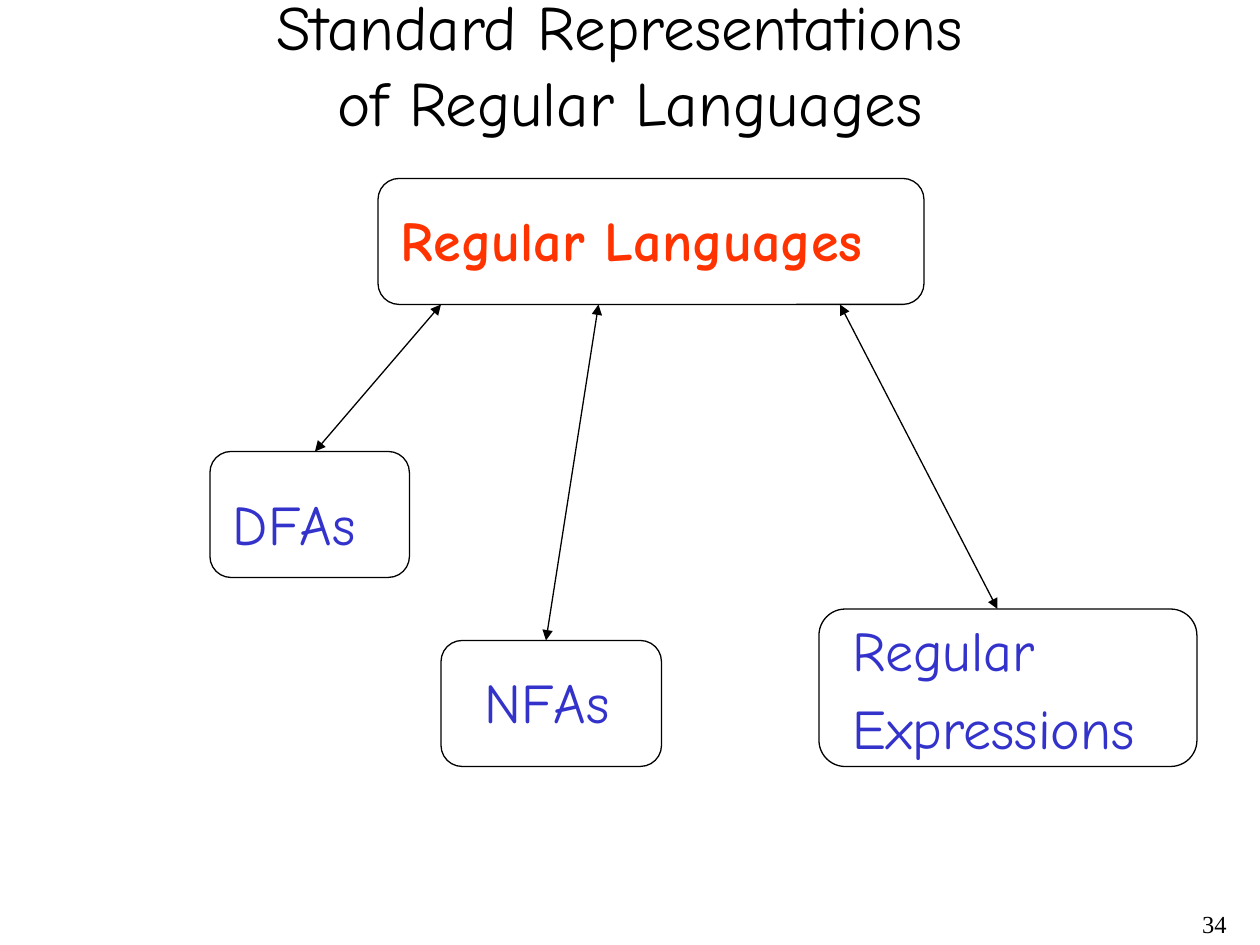
from dataclasses import dataclass

import pptx
import pptx.dml.color
import pptx.enum.shapes
import pptx.enum.text
import pptx.oxml
import pptx.oxml.ns
import pptx.util
from pptx.util import Cm

ALIGN = pptx.enum.text.PP_ALIGN
ANCHOR = pptx.enum.text.MSO_ANCHOR
BLACK, RED, BLUE = "000000", "FF3300", "3333CC"
LINE_WIDTH = pptx.util.Pt(0.75)


@dataclass
class Concept:
    """A rounded box and its label, in grid units."""
    text: str
    box: tuple[float, float, float, float]
    label: tuple[float, float, float, float]
    color: str = BLUE
    bold: bool = False


@dataclass
class Link:
    """Distance of the upper end and the lower end from the left, in grid units."""
    upper_x: float
    lower_x: float
    target: Concept


def grid(units: float) -> pptx.util.Length:
    """The layout grid has twelve units to 2.54 cm."""
    return Cm(units * 2.54 / 12)


def rgb(color: str) -> pptx.dml.color.RGBColor:
    return pptx.dml.color.RGBColor.from_string(color)


def add_text(slide, text: str, place: tuple, *, size: float = 32,
             font: str = "Comic Neue", color: str = BLACK, bold: bool = False,
             align=ALIGN.LEFT, anchor=ANCHOR.TOP, wrap: bool = True) -> None:
    frame = slide.shapes.add_textbox(*map(grid, place)).text_frame
    frame.word_wrap = wrap
    frame.vertical_anchor = anchor
    frame.text = text
    for index, paragraph in enumerate(frame.paragraphs):
        paragraph.alignment = align
        if index:
            paragraph.space_before = pptx.util.Pt(size * 0.2)
        for run in paragraph.runs:
            run.font.name = font
            run.font.size = pptx.util.Pt(size)
            run.font.bold = bold
            run.font.color.rgb = rgb(color)


def add_concept(slide, concept: Concept) -> None:
    box = slide.shapes.add_shape(
        pptx.enum.shapes.MSO_SHAPE.ROUNDED_RECTANGLE, *map(grid, concept.box))
    box.adjustments[0] = 0.167
    box.shadow.inherit = False
    box.fill.background()
    box.line.color.rgb = rgb(BLACK)
    box.line.width = LINE_WIDTH
    add_text(slide, concept.text, concept.label, color=concept.color,
             bold=concept.bold, wrap=False)


def add_link(slide, link: Link, source: Concept) -> None:
    source_bottom = source.box[1] + source.box[3]
    arrow = slide.shapes.add_connector(
        pptx.enum.shapes.MSO_CONNECTOR.STRAIGHT,
        grid(link.upper_x), grid(source_bottom),
        grid(link.lower_x), grid(link.target.box[1]))
    arrow.line.color.rgb = rgb(BLACK)
    arrow.line.width = LINE_WIDTH
    # Arrowheads at both ends, no shadow
    outline = arrow.line._get_or_add_ln()
    for end in ("headEnd", "tailEnd"):
        outline.append(pptx.oxml.parse_xml(
            f'<a:{end} {pptx.oxml.ns.nsdecls("a")} type="triangle"/>'))
    outline.addnext(pptx.oxml.parse_xml(
        f'<a:effectLst {pptx.oxml.ns.nsdecls("a")}/>'))


# Content
languages = Concept("Regular Languages", (36, 17, 52, 12), (37, 19, 49.3, 7.6),
                    RED, True)
dfas = Concept("DFAs", (20, 43, 19, 12), (21, 46, 16, 7.6))
nfas = Concept("NFAs", (42, 61, 21, 12), (45, 63, 16.4, 7.6))
expressions = Concept("Regular\nExpressions", (78, 58, 36, 15),
                      (80, 58, 32.2, 15.2))
links = [Link(42, 30, dfas), Link(57, 52, nfas), Link(80, 95, expressions)]

# Slide
deck = pptx.Presentation()
deck.slide_width, deck.slide_height = Cm(25.4), Cm(19.05)
slide = deck.slides.add_slide(deck.slide_layouts[6])

# Page number and title
add_text(slide, "34", (93, 86, 25, 4), size=14, font="Times New Roman",
         align=ALIGN.RIGHT)
add_text(slide, "Standard Representations \vof Regular Languages",
         (2, 2, 116, 8), size=36, align=ALIGN.CENTER, anchor=ANCHOR.MIDDLE)

# Diagram
for concept in (languages, dfas, nfas, expressions):
    add_concept(slide, concept)
for link in links:
    add_link(slide, link, languages)

deck.save("out.pptx")
